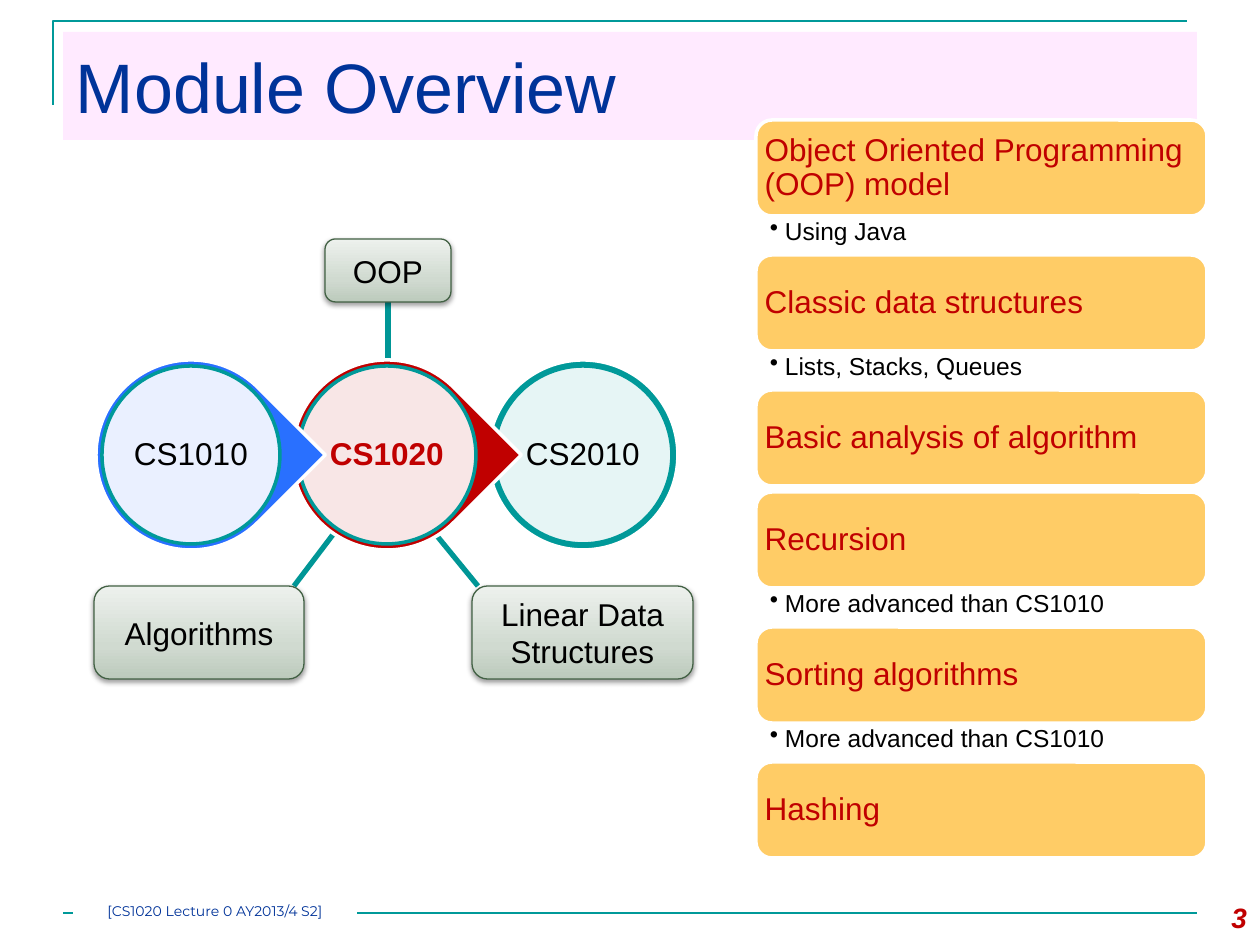
from copy import deepcopy

from lxml import etree
from pptx import Presentation
from pptx import util as u
from pptx.dml.color import RGBColor
from pptx.enum import shapes, text
from pptx.oxml.ns import qn

EMU_PER_PX = 914400 / 126

WHITE = RGBColor(0xFF, 0xFF, 0xFF)
BLACK = RGBColor(0x00, 0x00, 0x00)
TEAL = RGBColor(0x00, 0x99, 0x99)
LINK_TEAL = RGBColor(0x00, 0x96, 0x96)
NAVY = RGBColor(0x00, 0x33, 0x99)
RED = RGBColor(0xC0, 0x00, 0x00)
BLUE = RGBColor(0x29, 0x70, 0xFF)
PINK = RGBColor(0xFF, 0xCC, 0xFF)
AMBER = RGBColor(0xFF, 0xCC, 0x66)
DARK_GREEN = RGBColor(0x42, 0x61, 0x44)
GREEN_STOPS = [
    (0, RGBColor(0xBC, 0xCA, 0xBC)),
    (0.35, RGBColor(0xD0, 0xDA, 0xD0)),
    (1, RGBColor(0xED, 0xF1, 0xED)),
]

LEFT, CENTER, RIGHT = text.PP_ALIGN.LEFT, text.PP_ALIGN.CENTER, text.PP_ALIGN.RIGHT
TOP, MIDDLE = text.MSO_ANCHOR.TOP, text.MSO_ANCHOR.MIDDLE
KIND = shapes.MSO_SHAPE

# Circle name, text colour, bold, colour behind it, outline behind it
COURSES = [
    ("CS1010", BLACK, False, BLUE, KIND.TEAR),
    ("CS1020", RED, True, RED, KIND.TEAR),
    ("CS2010", BLACK, False, TEAL, KIND.OVAL),
]
# Label, box, line from the box to the CS1020 circle
CALLOUTS = [
    ("Linear Data Structures", (472, 586, 221, 93), (478, 586, 410, 503)),
    ("OOP", (325, 239, 126, 63), (388, 387, 388, 302)),
    ("Algorithms", (94, 586, 210, 93), (294, 586, 357, 503)),
]
TOPICS = [
    ("Object Oriented Programming (OOP) model", "Using Java"),
    ("Classic data structures", "Lists, Stacks, Queues"),
    ("Basic analysis of algorithm", None),
    ("Recursion", "More advanced than CS1010"),
    ("Sorting algorithms", "More advanced than CS1010"),
    ("Hashing", None),
]


def px(length):
    return u.Emu(round(length * EMU_PER_PX))


def set_values(target, **values):
    for name, value in values.items():
        setattr(target, name, value)


def place(shape, box):
    lengths = map(px, box)
    set_values(shape, **dict(zip(("left", "top", "width", "height"), lengths)))


def write(shape, words, size, color, align=LEFT, anchor=MIDDLE, insets=(13, 6),
          spacing=None, font="Arial", **font_values):
    """Fill the text frame; insets are (left and right, top and bottom)."""
    across, down = map(px, insets)
    frame = shape.text_frame
    set_values(frame, word_wrap=True, auto_size=text.MSO_AUTO_SIZE.NONE,
               vertical_anchor=anchor, margin_left=across, margin_right=across,
               margin_top=down, margin_bottom=down)
    paragraph = frame.paragraphs[0]
    set_values(paragraph, alignment=align, line_spacing=spacing)
    run = paragraph.add_run()
    run.text = words
    set_values(run.font, name=font, size=u.Pt(size), **font_values)
    run.font.color.rgb = color
    return paragraph


def set_fill(shape, color, opacity=100):
    shape.fill.solid()
    shape.fill.fore_color.rgb = color
    if opacity < 100:
        color_element = shape._element.spPr.find(qn("a:solidFill"))[0]
        etree.SubElement(color_element, qn("a:alpha"), val=str(opacity * 1000))


def set_line(shape, color, width):
    shape.line.color.rgb = color
    shape.line.width = u.Pt(width)


def add_shape(slide, kind, box, fill=None, opacity=100, line=None, width=2):
    shape = slide.shapes.add_shape(kind, *map(px, box))
    shape.shadow.inherit = False
    if fill is not None:
        set_fill(shape, fill, opacity)
    if line is None:
        shape.line.fill.background()
    else:
        set_line(shape, line, width)
    return shape


def add_text(slide, box, words, size, color, **values):
    return write(slide.shapes.add_textbox(*map(px, box)), words, size, color, **values)


def add_line(slide, ends, color, width):
    line = slide.shapes.add_connector(shapes.MSO_CONNECTOR.STRAIGHT, *map(px, ends))
    set_line(line, color, width)
    etree.SubElement(line._element.spPr, qn("a:effectLst"))


def add_frame(slide):
    """Corner rule, footer rule, footer label and slide number."""
    builder = slide.shapes.build_freeform(53, 105, EMU_PER_PX)
    builder.add_line_segments([(53, 21), (1187, 21)], close=False)
    corner = builder.convert_to_shape()
    corner.shadow.inherit = False
    corner.fill.background()
    set_line(corner, TEAL, 1.5)

    add_line(slide, (63, 913, 1197, 913), TEAL, 1.5)
    footer = add_shape(slide, KIND.RECTANGLE, (73, 903, 284, 21), WHITE)
    write(footer, "[CS1020 Lecture 0 AY2013/4 S2]", 8, NAVY, align=CENTER,
          anchor=TOP, insets=(0, 0), font="Montserrat")
    add_text(slide, (1176, 895, 84, 50), "3", 16, RED, align=RIGHT, anchor=TOP,
             bold=True, italic=True)


def add_title(slide):
    title = slide.shapes.title
    place(title, (63, 32, 1134, 108))
    set_fill(title, PINK, 40)
    write(title, "Module Overview", 40, NAVY)


def set_green_gradient(shape):
    shape.fill.gradient()
    shape.fill.gradient_angle = 90
    stop_list = shape._element.spPr.find(qn("a:gradFill")).find(qn("a:gsLst"))
    stop_list.insert(1, deepcopy(stop_list[0]))
    for stop, (position, color) in zip(shape.fill.gradient_stops, GREEN_STOPS):
        stop.position = position
        stop.color.rgb = color


def add_soft_shadow(shape):
    effects = shape._element.spPr.find(qn("a:effectLst"))
    shadow = etree.SubElement(effects, qn("a:outerShdw"), blurRad=str(u.Pt(3.1)),
                              dist=str(u.Pt(1.6)), dir="5400000", rotWithShape="0")
    color = etree.SubElement(shadow, qn("a:srgbClr"), val=str(BLACK))
    etree.SubElement(color, qn("a:alpha"), val="38000")


def add_callout(slide, label, box, ends):
    add_line(slide, ends, LINK_TEAL, 3)
    callout = add_shape(slide, KIND.ROUNDED_RECTANGLE, box, line=DARK_GREEN, width=0.75)
    set_green_gradient(callout)
    add_soft_shadow(callout)
    write(callout, label, 18, BLACK, align=CENTER)


def add_course_chain(slide, left=96, top=360, size=190, pitch=196, rim=6):
    """Draw from right to left, so that each point covers the next circle."""
    for index, course in reversed(list(enumerate(COURSES))):
        name, color, bold, back_color, back_kind = course
        x = left + index * pitch
        back = add_shape(slide, back_kind, (x, top, size, size), back_color, line=WHITE)
        if back_kind == KIND.TEAR:
            back.rotation = 45
        inner = size - 2 * rim
        circle = add_shape(slide, KIND.OVAL, (x + rim, top + rim, inner, inner),
                           WHITE, 90, TEAL)
        write(circle, name, 18, color, align=CENTER, insets=(4, 4), spacing=0.9, bold=bold)


def add_bullet(paragraph, indent):
    properties = paragraph._p.get_or_add_pPr()
    properties.set("marL", str(px(indent)))
    properties.set("indent", str(-px(indent)))
    etree.SubElement(properties, qn("a:buChar"), char="•")


def add_topics(slide, left=756, top=120, width=451, bar=96, detail_height=39, gap=6):
    for heading, detail in TOPICS:
        shape = add_shape(slide, KIND.ROUNDED_RECTANGLE, (left, top, width, bar),
                          AMBER, line=WHITE)
        write(shape, heading, 18, RED, insets=(4, 4), spacing=0.9)
        top += bar
        if detail:
            paragraph = add_text(slide, (left, top, width, detail_height), detail, 14,
                                 BLACK, anchor=TOP, insets=(14, 3), spacing=0.9)
            add_bullet(paragraph, 15)
        top += detail_height if detail else gap


def main():
    presentation = Presentation()
    set_values(presentation, slide_width=px(1260), slide_height=px(945))
    slide = presentation.slides.add_slide(presentation.slide_layouts[5])
    add_frame(slide)
    add_title(slide)
    for callout in CALLOUTS:
        add_callout(slide, *callout)
    add_course_chain(slide)
    add_topics(slide)
    presentation.save("out.pptx")


if __name__ == "__main__":
    main()
